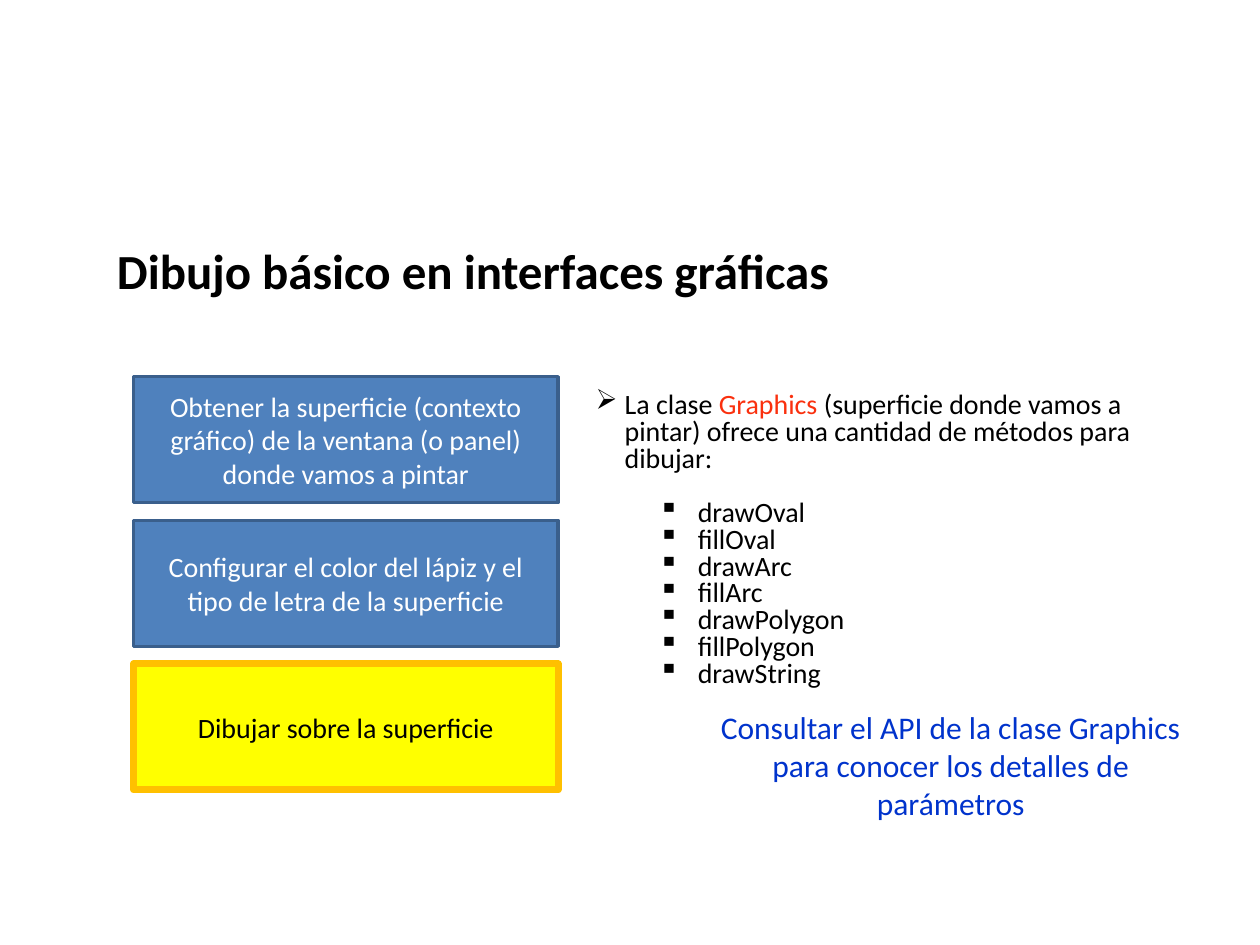
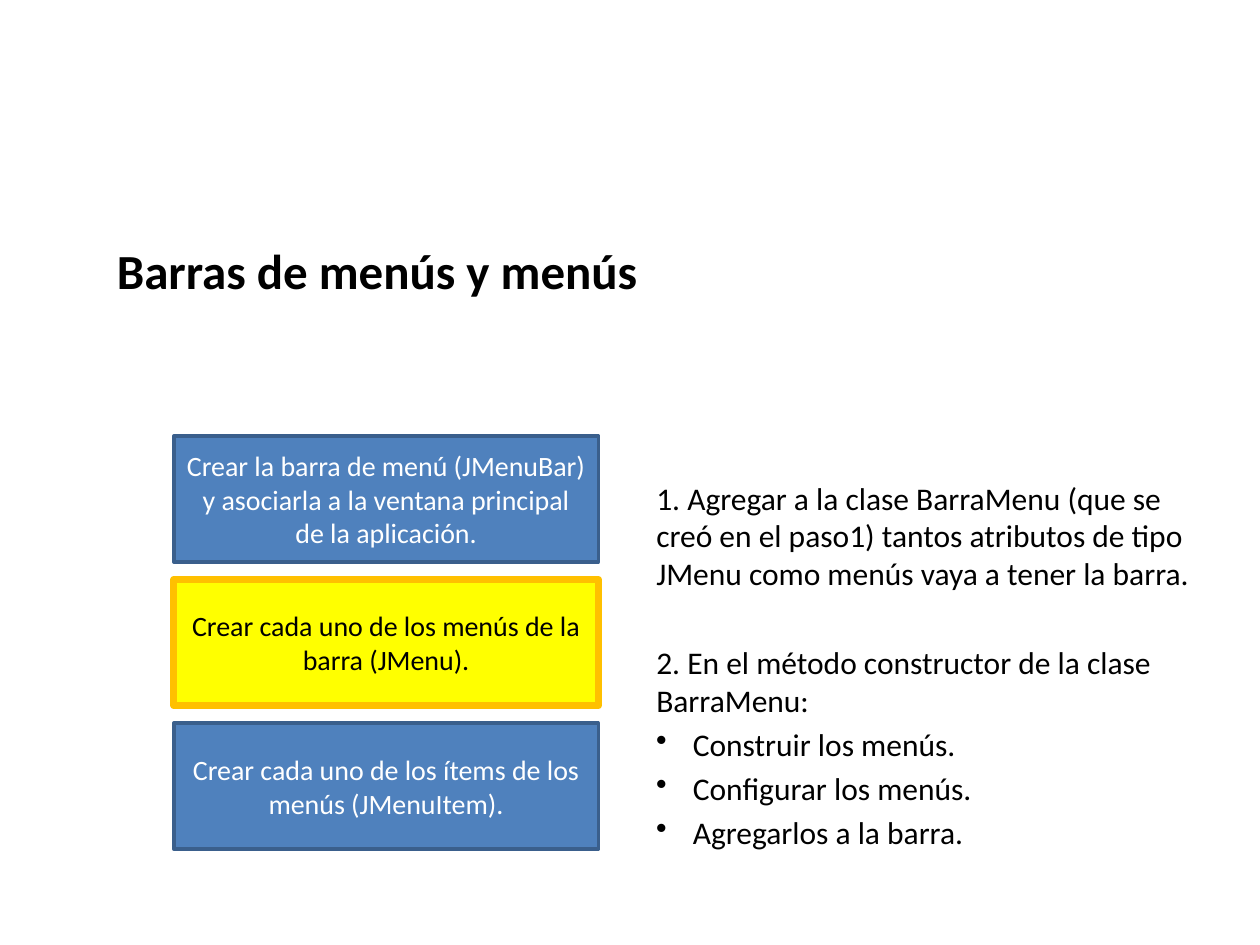
import pptx
import pptx.util
import pptx.dml.color
import pptx.enum.shapes
import pptx.enum.text
import pptx.oxml
import pptx.oxml.ns

PX = 9144  # one px is a hundredth of an inch

BLACK = pptx.dml.color.RGBColor(0x00, 0x00, 0x00)
WHITE = pptx.dml.color.RGBColor(0xFF, 0xFF, 0xFF)
BLUE = pptx.dml.color.RGBColor(0x4F, 0x81, 0xBD)
DARK_BLUE = pptx.dml.color.RGBColor(0x3A, 0x5F, 0x8C)
YELLOW = pptx.dml.color.RGBColor(0xFF, 0xFF, 0x00)
AMBER = pptx.dml.color.RGBColor(0xFF, 0xC0, 0x00)
RED = pptx.dml.color.RGBColor(0xFA, 0x30, 0x0E)
NOTE_BLUE = pptx.dml.color.RGBColor(0x00, 0x33, 0xCC)

FONT = "Calibri"
LEFT = pptx.enum.text.PP_ALIGN.LEFT
CENTER = pptx.enum.text.PP_ALIGN.CENTER

STEP_WIDTH, STEP_HEIGHT, STEP_PITCH = 337, 100, 114


def add_text_box(slide, left, top, width, height):
    box = slide.shapes.add_textbox(left * PX, top * PX, width * PX, height * PX)
    box.text_frame.word_wrap = True
    return box.text_frame


def write(frame, text, size=16, color=BLACK, bold=False, align=LEFT, bullet=None,
          margin=0, indent=0, line_spacing=None, space_before=0, accent=None):
    """Add a paragraph to the frame; the word given as accent is set in red."""
    paragraph = frame.paragraphs[0]
    if paragraph.runs:
        paragraph = frame.add_paragraph()
    paragraph.alignment = align
    properties = paragraph._p.get_or_add_pPr()
    properties.set("marL", str(margin * PX))
    properties.set("indent", str(indent * PX))
    if bullet:
        mark = pptx.oxml.parse_xml(f'<a:buChar {pptx.oxml.ns.nsdecls("a")} char="{bullet}"/>')
        properties.append(mark)
    if line_spacing:
        paragraph.line_spacing = line_spacing
    if space_before:
        paragraph.space_before = pptx.util.Pt(space_before)
    pieces = text.partition(accent) if accent else [text]
    for piece in pieces:
        run = paragraph.add_run()
        run.text = piece
        run.font.name = FONT
        run.font.size = pptx.util.Pt(size)
        run.font.bold = bold
        run.font.color.rgb = RED if piece == accent else color


presentation = pptx.Presentation()
presentation.slide_width = 1000 * PX
presentation.slide_height = 750 * PX

# Title, left and top of the step column, steps, index of the current step
OUTLINES = [
    ("Dibujo básico en interfaces gráficas", 106, 299,
     ["Obtener la superficie (contexto gráfico) de la ventana (o panel) donde vamos a pintar",
      "Configurar el color del lápiz y el tipo de letra de la superficie",
      "Dibujar sobre la superficie"], 2),
    ("Barras de menús y menús", 138, 346,
     ["Crear la barra de menú (JMenuBar) y asociarla a la ventana principal de la aplicación.",
      "Crear cada uno de los menús de la barra (JMenu).",
      "Crear cada uno de los ítems de los menús (JMenuItem)."], 1),
]

# Shared by both slides: title and column of steps
for title, left, top, steps, current in OUTLINES:
    slide = presentation.slides.add_slide(presentation.slide_layouts[6])
    write(add_text_box(slide, 83, 186, 630, 57), title, size=28, bold=True)
    for index, step in enumerate(steps):
        is_current = index == current
        box = slide.shapes.add_shape(
            pptx.enum.shapes.MSO_SHAPE.RECTANGLE, left * PX, (top + index * STEP_PITCH) * PX,
            STEP_WIDTH * PX, STEP_HEIGHT * PX)
        box.shadow.inherit = False
        box.fill.solid()
        box.fill.fore_color.rgb = YELLOW if is_current else BLUE
        box.line.color.rgb = AMBER if is_current else DARK_BLUE
        box.line.width = pptx.util.Pt(4 if is_current else 2)
        box.text_frame.word_wrap = True
        box.text_frame.vertical_anchor = pptx.enum.text.MSO_ANCHOR.MIDDLE
        write(box.text_frame, step, color=BLACK if is_current else WHITE, align=CENTER)

drawing_slide, menu_slide = presentation.slides

# Slide 1: drawing methods and note
methods = add_text_box(drawing_slide, 463, 307, 500, 226)
write(methods, "La clase Graphics (superficie donde vamos a pintar) ofrece una cantidad de "
      "métodos para dibujar:", accent="Graphics", bullet="➢", margin=23, indent=-23,
      line_spacing=0.8)
for index, method in enumerate(["drawOval", "fillOval", "drawArc", "fillArc",
                                "drawPolygon", "fillPolygon", "drawString"]):
    write(methods, method, bullet="▪", margin=81, indent=-31, line_spacing=0.8,
          space_before=15.5 if index == 0 else 0)

note = add_text_box(drawing_slide, 547, 557, 415, 101)
write(note, "Consultar el API de la clase Graphics para conocer los detalles de parámetros",
      size=18, color=NOTE_BLUE, align=CENTER)

# Slide 2: instructions for the menus
instructions = add_text_box(menu_slide, 492, 375, 482, 313)
write(instructions, "1. Agregar a la clase BarraMenu (que se creó en el paso1) tantos atributos "
      "de tipo JMenu como menús vaya a tener la barra.", size=18, margin=19)
write(instructions, "2. En el método constructor de la clase BarraMenu:", size=18, margin=19,
      space_before=29.2)
for action in ["Construir los menús.", "Configurar los menús.", "Agregarlos a la barra."]:
    write(instructions, action, size=18, bullet="•", margin=48, indent=-29, space_before=3.6)

presentation.save("out.pptx")
